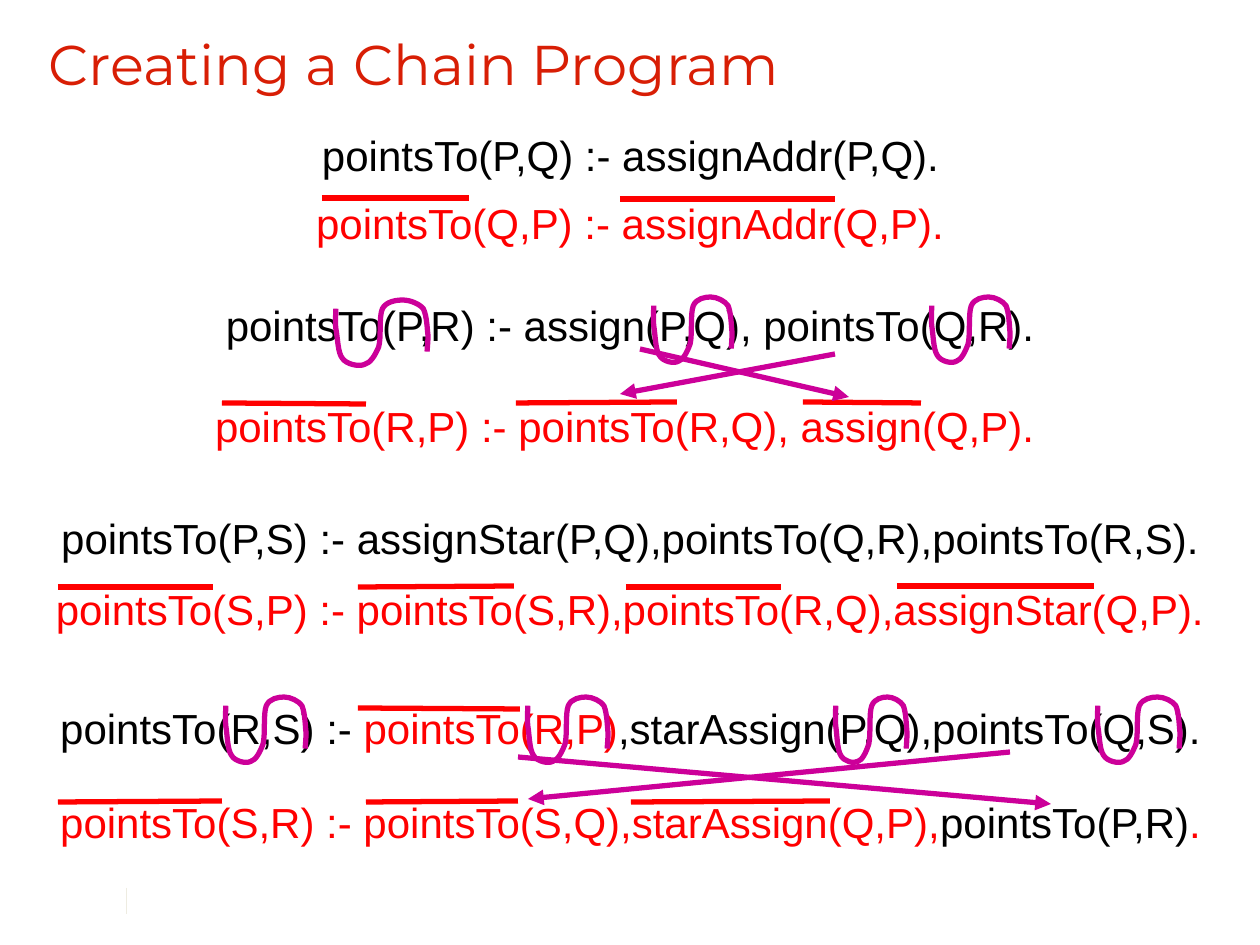
from lxml.etree import SubElement
from pptx import Presentation
from pptx.dml.color import RGBColor
from pptx.enum.shapes import MSO_CONNECTOR
from pptx.enum.text import MSO_ANCHOR, PP_ALIGN
from pptx.oxml.ns import qn
from pptx.util import Pt

PX = 914400 / 126
BLACK, RED, PURPLE = "000000", "FF0000", "CC0099"

TITLE = "Creating a Chain Program"

# Rules: left, top, width, runs of (text, colour)
RULES = [
    (306, 123, 649, [("pointsTo(P,Q) :- assignAddr(P,Q).", BLACK)]),
    (300, 191, 660, [("pointsTo(Q,P) :- assignAddr(Q,P).", RED)]),
    (209, 293, 842, [("pointsTo(P,R) :- assign(P,Q), pointsTo(Q,R).", BLACK)]),
    (198, 394, 865, [("pointsTo(R,P) :- pointsTo(R,Q), assign(Q,P). ", RED)]),
    (43, 506, 1174,
     [("pointsTo(P,S) :- assignStar(P,Q),pointsTo(Q,R),pointsTo(R,S).", BLACK)]),
    (38, 577, 1184,
     [("pointsTo(S,P) :- pointsTo(S,R),pointsTo(R,Q),assignStar(Q,P).", RED)]),
    (42, 696, 1177, [("pointsTo(R,S) :- ", BLACK), ("pointsTo(R,P)", RED),
                     (",starAssign(P,Q),pointsTo(Q,S).", BLACK)]),
    (42, 790, 1177, [("pointsTo(S,R) :- pointsTo(S,Q),starAssign(Q,P),", RED),
                     ("pointsTo(P,R)", BLACK), (".", RED)]),
]
RULE_HEIGHT = 64

# Bars over reversed predicates: x1, y1, x2, y2
BARS = [
    (322, 198, 469, 198), (620, 199, 835, 199),
    (222, 403, 366, 404), (516, 403, 677, 402), (803, 402, 921, 403),
    (58, 587, 213, 587), (358, 587, 514, 586),
    (626, 587, 781, 587), (897, 586, 1094, 586),
    (358, 708, 520, 709),
    (58, 802, 222, 801), (366, 802, 518, 801), (631, 802, 830, 801),
]

# Arrows that swap subgoals: x1, y1, x2, y2
ARROWS = [
    (640, 349, 849, 397), (835, 354, 620, 394),
    (518, 757, 1051, 804), (1010, 752, 528, 799),
]

# Waves that swap arguments: left, top, width
WAVES = [
    (335, 300, 93), (653, 297, 79), (931, 297, 79),
    (225, 697, 81), (527, 697, 81), (835, 697, 72), (1097, 697, 83),
]
WAVE_HEIGHT = 67
# Start, then three Bezier points per curve, in percent of width and height
WAVE_POINTS = [
    (1, 13),
    (1, 19), (0, 32), (1, 43), (3, 57), (3, 79), (8, 87),
    (12, 96), (26, 100), (32, 96), (38, 94), (43, 83), (47, 70),
    (50, 55), (47, 25), (51, 13), (55, 2), (66, 0), (73, 0),
    (81, 0), (91, 6), (95, 13), (99, 25), (99, 43), (100, 53),
    (100, 64), (99, 74), (99, 77),
]


def px(n):
    return round(n * PX)


def rgb(color):
    return RGBColor.from_string(color)


def add_text(s, box, runs, size, font, align, wrap):
    tf = s.shapes.add_textbox(*map(px, box)).text_frame
    for name, value in {"word_wrap": wrap,
                        "vertical_anchor": MSO_ANCHOR.MIDDLE}.items():
        setattr(tf, name, value)
    p = tf.paragraphs[0]
    p.alignment = align
    for text, color in runs:
        r = p.add_run()
        r.text = text
        for name, value in {"size": Pt(size), "name": font}.items():
            setattr(r.font, name, value)
        r.font.color.rgb = rgb(color)


def set_line(sp, color, width):
    sp.line.color.rgb = rgb(color)
    sp.line.width = Pt(width)


def add_line(s, ends, color, width=3, arrow=False):
    sp = s.shapes.add_connector(MSO_CONNECTOR.STRAIGHT, *map(px, ends))
    set_line(sp, color, width)
    if arrow:
        SubElement(sp.line._get_or_add_ln(), qn("a:tailEnd"), type="triangle")
    SubElement(sp._element.spPr, qn("a:effectLst"))


def add_wave(s, left, top, width):
    points = [(px(left + x * width / 100), px(top + y * WAVE_HEIGHT / 100))
              for x, y in WAVE_POINTS]
    fb = s.shapes.build_freeform(*points[0])
    fb.add_line_segments(points[1:], close=False)
    sp = fb.convert_to_shape()
    # Join every three segments into one Bezier curve
    outline = sp._element.find(".//" + qn("a:path"))
    segments = outline.findall(qn("a:lnTo"))
    for i in range(0, len(segments), 3):
        curve = SubElement(outline, qn("a:cubicBezTo"))
        for segment in segments[i:i + 3]:
            curve.append(segment[0])
            outline.remove(segment)
    sp.shadow.inherit = False
    sp.fill.background()
    set_line(sp, PURPLE, 3)


def main():
    prs = Presentation()
    prs.slide_width, prs.slide_height = px(1260), px(945)
    s = prs.slides.add_slide(prs.slide_layouts[6])

    # Footer rule and title
    add_line(s, (126, 888, 126, 914), "EEECE1", 0.25)
    add_text(s, (36, 22, 1184, 82), [(TITLE, "D81E05")], 32, "Montserrat",
             PP_ALIGN.LEFT, True)

    # Rules with their bars
    for left, top, width, runs in RULES:
        add_text(s, (left, top, width, RULE_HEIGHT), runs, 24, "Arial",
                 PP_ALIGN.CENTER, False)
    for ends in BARS:
        add_line(s, ends, RED)

    # Swap marks
    for ends in ARROWS:
        add_line(s, ends, PURPLE, arrow=True)
    for wave in WAVES:
        add_wave(s, *wave)

    prs.save("out.pptx")


if __name__ == "__main__":
    main()
